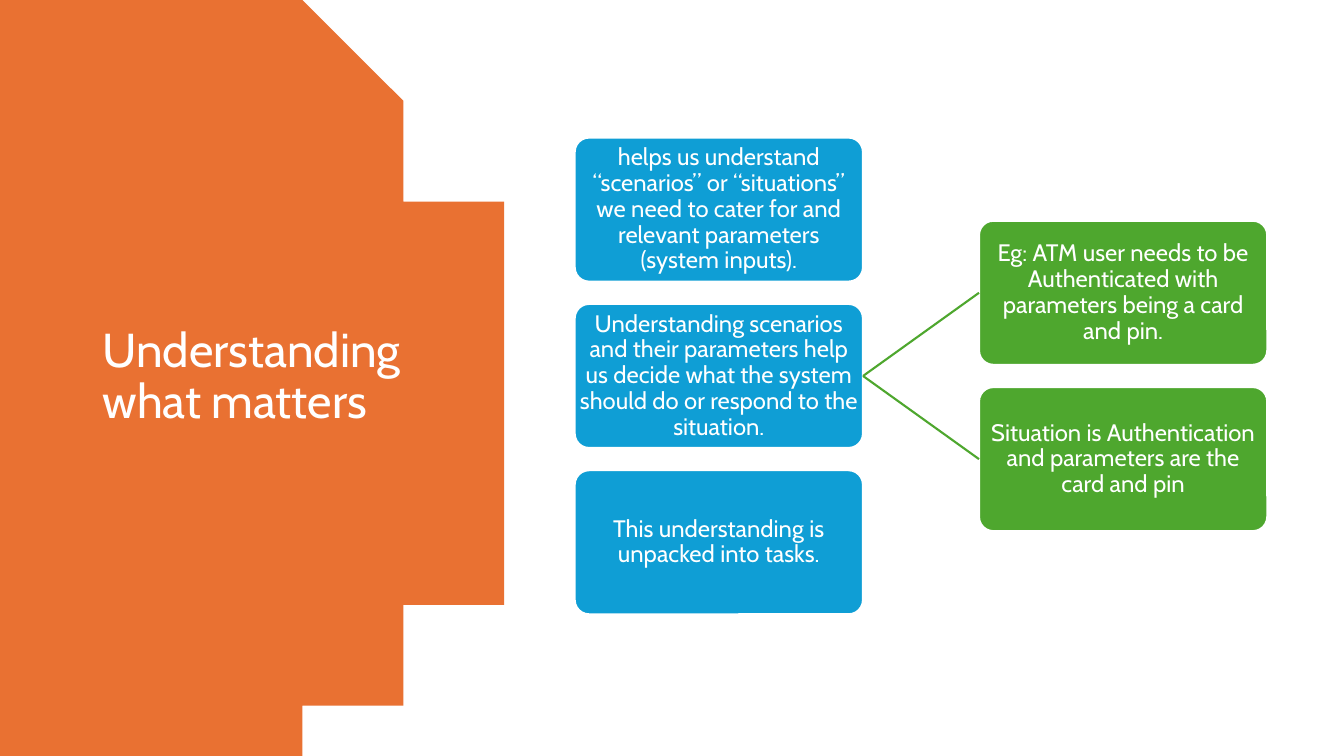
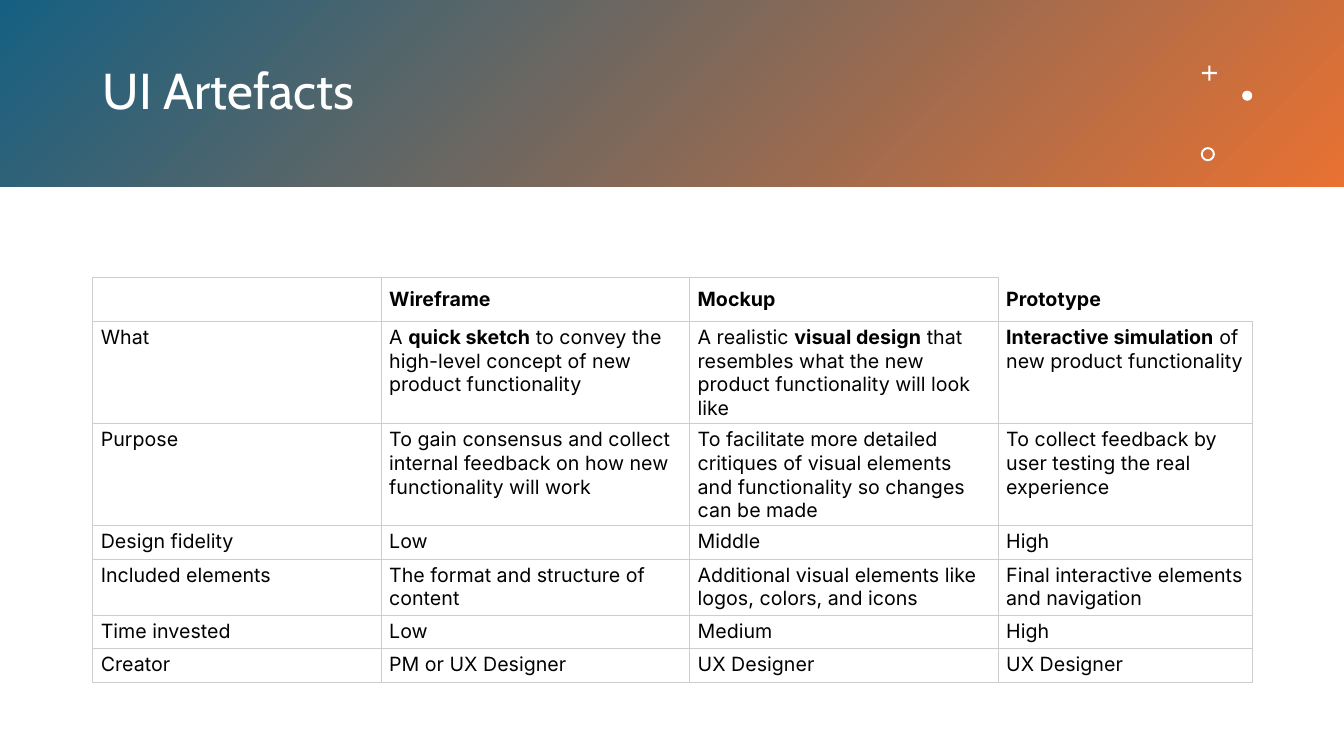
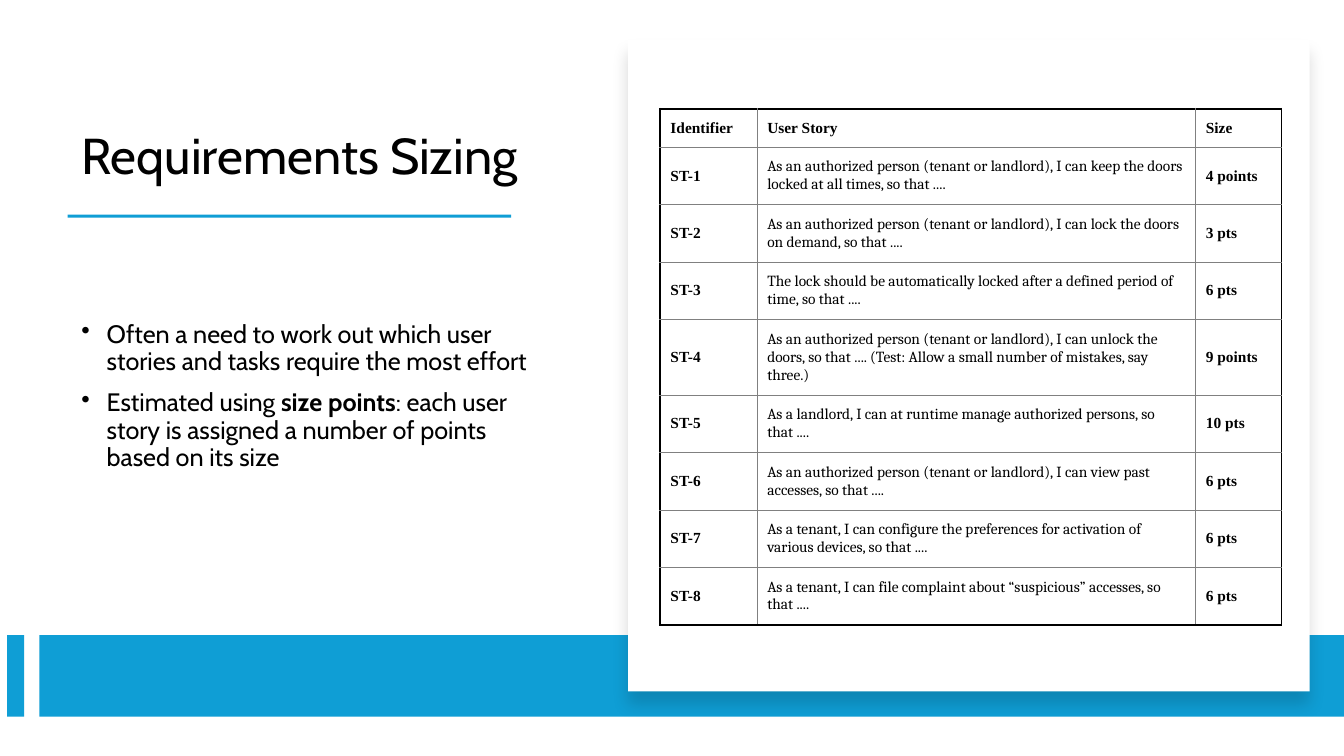
"""Build three slides on understanding requirements, UI artefacts and sizing."""
from math import asin, cos, sin

from lxml.etree import SubElement
from pptx import Presentation
from pptx.dml.color import RGBColor
from pptx.enum.shapes import MSO_CONNECTOR as Connector, MSO_SHAPE as Shape
from pptx.enum.text import MSO_ANCHOR as Anchor, PP_ALIGN as Align
from pptx.oxml.ns import qn
from pptx.util import Emu, Inches, Pt

WIDTH, HEIGHT = 13.33, 7.5
BLUE, GREEN, ORANGE, TEAL = "0F9ED5", "4EA72E", "E97132", "156082"
WHITE, BLACK, GRAY, PALE_GRAY = "FFFFFF", "000000", "808080", "CDCDCD"
TITLE = dict(font="Cabin", size=36, spacing=0.9)

SCENARIO_TITLE = "Understanding what matters"
SCENARIO_COLUMNS = [
    (5.7, BLUE, [
        "helps us understand “scenarios” or “situations” we need to cater for "
        "and relevant parameters (system inputs).",
        "Understanding scenarios and their parameters help us decide what the "
        "system should do or respond to the situation.",
        "This understanding is unpacked into tasks.",
    ]),
    (9.71, GREEN, [
        "Eg: ATM user needs to be Authenticated with parameters being a card and pin.",
        "Situation is Authentication and parameters are the card and pin",
    ]),
]
CARD_WIDTH, CARD_HEIGHT, CARD_GAP, CARD_MIDDLE = 2.86, 1.43, 0.22, 3.73

ARTEFACT_TITLE = "UI Artefacts"
ARTEFACT_WIDTHS = [2.86, 3.06, 3.06, 2.52]
ARTEFACT_HEIGHTS = [0.44, 0.78, 0.78, 0.33, 0.56, 0.33, 0.33]
ARTEFACTS = [
    ("", "**Wireframe**", "**Mockup**", "**Prototype**"),
    ("What",
     "A **quick sketch** to convey the high-level concept of new product functionality",
     "A realistic **visual design** that resembles what the new product "
     "functionality will look like",
     "**Interactive simulation** of new product functionality"),
    ("Purpose",
     "To gain consensus and collect internal feedback on how new functionality will work",
     "To facilitate more detailed critiques of visual elements and functionality "
     "so changes can be made",
     "To collect feedback by user testing the real experience"),
    ("Design fidelity", "Low", "Middle", "High"),
    ("Included elements",
     "The format and structure of content",
     "Additional visual elements like logos, colors, and icons",
     "Final interactive elements and navigation"),
    ("Time invested", "Low", "Medium", "High"),
    ("Creator", "PM or UX Designer", "UX Designer", "UX Designer"),
]
ORNAMENTS = [
    (Shape.CROSS, 11.92, 0.65, 0.15, 0.43),
    (Shape.OVAL, 12.32, 0.9, 0.1, None),
    (Shape.DONUT, 11.91, 1.46, 0.14, 0.14),
]

SIZING_TITLE = "Requirements Sizing"
SIZING_POINTS = [
    "Often a need to work out which user stories and tasks require the most effort",
    "Estimated using **size points**: each user story is assigned a number of "
    "points based on its size",
]
STORY_WIDTHS = [0.96, 4.35, 0.85]
STORY_HEIGHTS = [0.38] + [0.57] * 3 + [0.75] + [0.57] * 4
PERSON = "As an authorized person (tenant or landlord), I can "
STORIES = [
    (PERSON + "keep the doors locked at all times, so that ....", "4 points"),
    (PERSON + "lock the doors on demand, so that ....", "3 pts"),
    ("The lock should be automatically locked after a defined period of time, "
     "so that ....", "6 pts"),
    (PERSON + "unlock the doors, so that .... (Test: Allow a small number of "
     "mistakes, say three.)", "9 points"),
    ("As a landlord, I can at runtime manage authorized persons, so that ....", "10 pts"),
    (PERSON + "view past accesses, so that ....", "6 pts"),
    ("As a tenant, I can configure the preferences for activation of various "
     "devices, so that ....", "6 pts"),
    ("As a tenant, I can file complaint about “suspicious” accesses, so that ....", "6 pts"),
]
STORY_ROWS = [("Identifier", "User Story", "Size")] + [
    (f"ST-{number}", story, size) for number, (story, size) in enumerate(STORIES, 1)
]


def color(value):
    return RGBColor.from_string(value)


def write(frame, paragraphs, font="Cabin", size=18, ink=BLACK, bold=False,
          align=Align.LEFT, spacing=None, before=None, bullet=None):
    """Fill a text frame; double asterisks enclose bold words."""
    for index, text in enumerate(paragraphs):
        paragraph = frame.add_paragraph() if index else frame.paragraphs[0]
        paragraph.alignment = align
        if spacing:
            paragraph.line_spacing = spacing
        if before:
            paragraph.space_before = Pt(before)
        if bullet:
            properties = paragraph._p.get_or_add_pPr()
            properties.set("marL", str(Inches(0.25)))
            properties.set("indent", str(-Inches(0.25)))
            SubElement(properties, qn("a:buChar"), char=bullet)
        for part, words in enumerate(text.split("**")):
            if words:
                run = paragraph.add_run()
                run.text = words
                run.font.name, run.font.size = font, Pt(size)
                run.font.bold = bold or part % 2 == 1
                run.font.color.rgb = color(ink)


def add_text(slide, box, paragraphs, anchor=Anchor.MIDDLE, **style):
    frame = slide.shapes.add_textbox(*map(Inches, box)).text_frame
    frame.word_wrap = True
    frame.vertical_anchor = anchor
    write(frame, paragraphs, **style)


def paint(shape, fill, line=None):
    shape.shadow.inherit = False
    shape.fill.solid()
    shape.fill.fore_color.rgb = color(fill)
    if line:
        shape.line.color.rgb = color(line)
        shape.line.width = Pt(1.5)
    else:
        shape.line.fill.background()


def add_shape(slide, kind, box, fill, line=None, adjustment=None):
    shape = slide.shapes.add_shape(kind, *map(Inches, box))
    if adjustment is not None:
        shape.adjustments[0] = adjustment
    paint(shape, fill, line)
    return shape


def add_card(slide, box, text, fill):
    card = add_shape(slide, Shape.ROUNDED_RECTANGLE, box, fill, WHITE, 0.1)
    frame = card.text_frame
    frame.word_wrap = True
    frame.vertical_anchor = Anchor.MIDDLE
    frame.margin_left = frame.margin_right = Inches(0.01)
    frame.margin_top = frame.margin_bottom = Inches(0.01)
    write(frame, [text], size=17, ink=WHITE, align=Align.CENTER, spacing=0.9)
    return card


def join(slide, start, end):
    connector = slide.shapes.add_connector(Connector.STRAIGHT, 0, 0, 0, 0)
    connector.begin_connect(start, 3)
    connector.end_connect(end, 1)
    connector.line.color.rgb = color(GREEN)
    connector.line.width = Pt(1.5)
    SubElement(connector.element.spPr, qn("a:effectLst"))


def set_border(cell, side, border):
    properties = cell._tc.get_or_add_tcPr()
    line = SubElement(properties, qn(f"a:ln{side}"))
    if border:
        ink, width = border
        line.set("w", str(Pt(width)))
        fill = SubElement(line, qn("a:solidFill"))
        SubElement(fill, qn("a:srgbClr"), val=ink)
    else:
        SubElement(line, qn("a:noFill"))


def add_table(slide, left, top, widths, heights, rows, margins, anchor, style, border):
    """Add a table whose style and border are functions of the cell's position."""
    table = slide.shapes.add_table(
        len(rows), len(widths), Inches(left), Inches(top),
        Inches(sum(widths)), Inches(sum(heights))).table
    table.first_row = table.horz_banding = False
    for column, width in zip(table.columns, widths):
        column.width = Inches(width)
    for r, (row, height) in enumerate(zip(rows, heights)):
        table.rows[r].height = Inches(height)
        for c, text in enumerate(row):
            cell = table.cell(r, c)
            (cell.margin_left, cell.margin_top,
             cell.margin_right, cell.margin_bottom) = map(Inches, margins)
            cell.vertical_anchor = anchor(r)
            edges = {"L": c == 0, "R": c == len(widths) - 1,
                     "T": r == 0, "B": r == len(rows) - 1}
            for side, is_edge in edges.items():
                set_border(cell, side, border(r, c, side, is_edge))
            cell.fill.background()
            write(cell.text_frame, [text], **style(r, c))


def build_scenarios(slide):
    right, chord = 4.93, 2.83
    radius = ((right - chord) ** 2 + (HEIGHT / 2) ** 2) / (2 * (right - chord))
    limit, steps = asin(HEIGHT / 2 / radius), 120
    angles = [limit * (2 * step / steps - 1) for step in range(steps + 1)]
    arc = [(right - radius + radius * cos(angle), HEIGHT / 2 + radius * sin(angle))
           for angle in angles]
    builder = slide.shapes.build_freeform(0, 0, scale=Inches(1) / 1.0)
    builder.add_line_segments(arc + [(0, HEIGHT)], close=True)
    paint(builder.convert_to_shape(), ORANGE)
    add_text(slide, (0.92, 0.7, 3.23, 6.09), [SCENARIO_TITLE],
             **{**TITLE, "size": 34, "ink": WHITE})

    pitch = CARD_HEIGHT + CARD_GAP
    columns = []
    for left, fill, texts in SCENARIO_COLUMNS:
        top = CARD_MIDDLE - (len(texts) * pitch - CARD_GAP) / 2
        columns.append([
            add_card(slide, (left, top + index * pitch, CARD_WIDTH, CARD_HEIGHT), text, fill)
            for index, text in enumerate(texts)])
    causes, examples = columns
    for example in examples:
        join(slide, causes[1], example)


def build_artefacts(slide):
    band = add_shape(slide, Shape.RECTANGLE, (0, 0, WIDTH, 1.85), TEAL)
    band.fill.gradient()
    band.fill.gradient_angle = 315
    for stop, ink, position in zip(band.fill.gradient_stops, (TEAL, ORANGE), (0, 1)):
        stop.color.rgb = color(ink)
        stop.position = position
    add_text(slide, (0.92, 0.33, 10.75, 1.19), [ARTEFACT_TITLE], ink=WHITE, **TITLE)
    for kind, left, top, size, adjustment in ORNAMENTS:
        add_shape(slide, kind, (left, top, size, size), WHITE, adjustment=adjustment)

    def border(row, column, side, is_edge):
        if (row, column) == (0, 3) and is_edge:
            return None
        return PALE_GRAY, 1 if side in "LR" else 0.75

    add_table(slide, 0.92, 2.75, ARTEFACT_WIDTHS, ARTEFACT_HEIGHTS, ARTEFACTS,
              (0.08, 0.04, 0.08, 0.04),
              lambda row: Anchor.TOP if row else Anchor.MIDDLE,
              lambda row, column: dict(font="Inter", size=14), border)


def build_sizing(slide):
    add_text(slide, (0.71, 0.58, 4.68, 1.31), [SIZING_TITLE], Anchor.BOTTOM, **TITLE)
    add_shape(slide, Shape.RECTANGLE, (0.67, 2.13, 4.4, 0.03), BLUE)
    add_text(slide, (0.71, 2.22, 4.68, 3.43), SIZING_POINTS,
             spacing=0.9, before=10, bullet="•")
    for left, width in ((0.07, 0.17), (0.39, WIDTH - 0.39)):
        add_shape(slide, Shape.RECTANGLE, (left, 6.3, width, 0.81), BLUE)
    panel = add_shape(slide, Shape.RECTANGLE, (6.23, 0.39, 6.76, 6.47), WHITE)
    effects = panel.element.spPr.find(qn("a:effectLst"))
    shadow = SubElement(effects, qn("a:outerShdw"), blurRad=str(Pt(11)),
                        dist=str(Pt(10)), dir="5400000", algn="t", rotWithShape="0")
    ink = SubElement(shadow, qn("a:srgbClr"), val=BLACK)
    SubElement(ink, qn("a:alpha"), val="15000")

    def style(row, column):
        is_story = row > 0 and column == 1
        return dict(font="Cambria" if is_story else "Times New Roman",
                    size=11, bold=not is_story)

    add_table(slide, 6.55, 1.08, STORY_WIDTHS, STORY_HEIGHTS, STORY_ROWS,
              (0.1, 0.08, 0.07, 0.08), lambda row: Anchor.MIDDLE, style,
              lambda row, column, side, is_edge: (BLACK, 1.5) if is_edge else (GRAY, 0.5))


def main():
    presentation = Presentation()
    presentation.slide_width = Emu(Inches(WIDTH))
    presentation.slide_height = Emu(Inches(HEIGHT))
    for build in (build_scenarios, build_artefacts, build_sizing):
        build(presentation.slides.add_slide(presentation.slide_layouts[6]))
    presentation.save("out.pptx")


if __name__ == "__main__":
    main()
